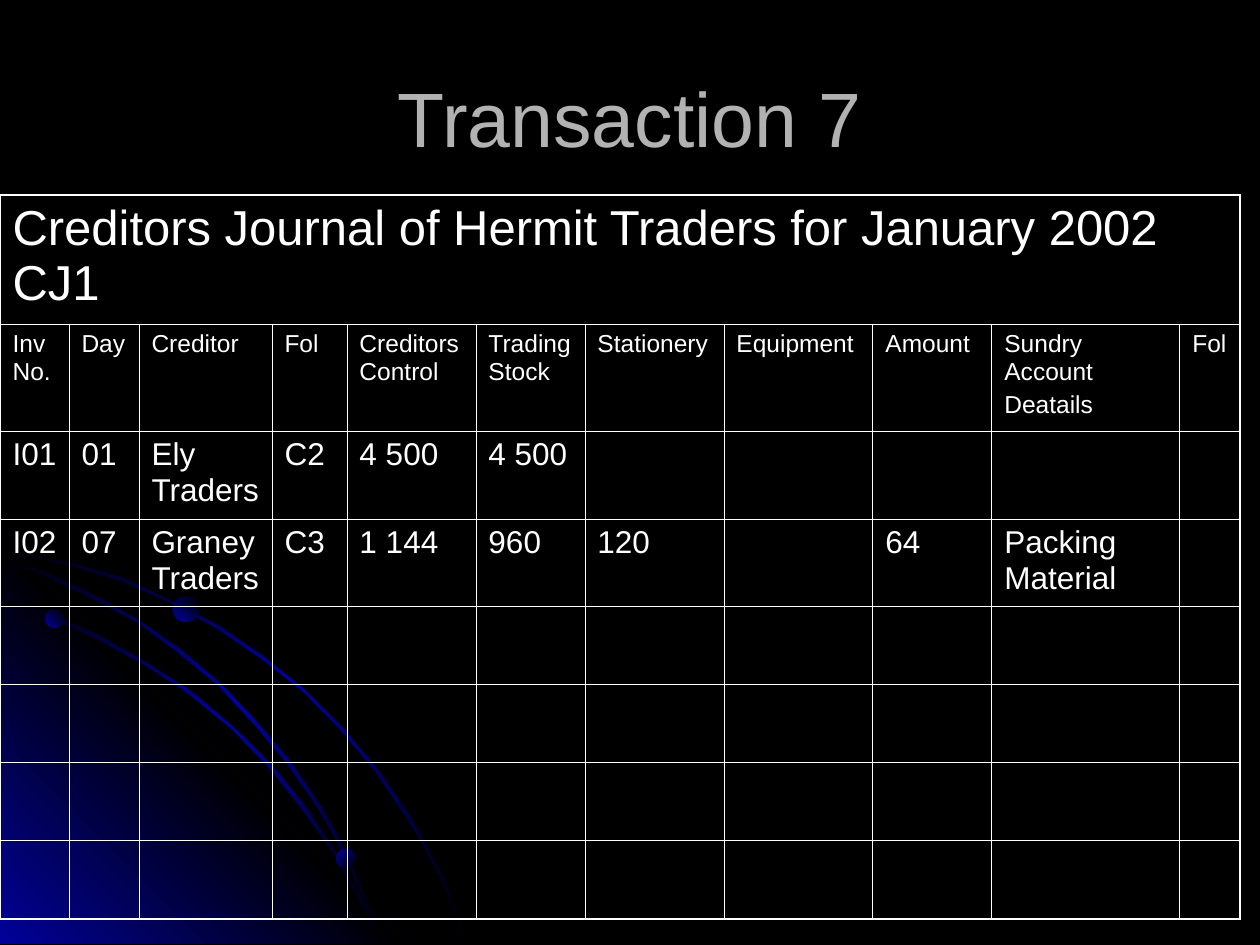
from pptx import Presentation
from pptx.dml.color import RGBColor
from pptx.enum.shapes import MSO_SHAPE
from pptx.enum.text import MSO_ANCHOR, PP_ALIGN
from pptx.oxml import parse_xml
from pptx.oxml.ns import nsdecls
from pptx.util import Emu, Pt

OVAL = MSO_SHAPE.OVAL
MIDDLE = MSO_ANCHOR.MIDDLE
CENTER = PP_ALIGN.CENTER

BLACK = RGBColor(0x00, 0x00, 0x00)
BLUE = RGBColor(0x01, 0x01, 0x99)
GRAY = RGBColor(0xB2, 0xB2, 0xB2)
WHITE = RGBColor(0xFF, 0xFF, 0xFF)
FONT = "Arial"
PX = 914400 / 126  # EMU per pixel
THIN, THICK = Pt(0.45), Pt(1.08)


def px(length):
    return Emu(round(length * PX))


def paint_gradient(shape, colors, angle):
    """Fill a shape with evenly spaced colours and no outline."""
    step = 100000 // (len(colors) - 1)
    stops = "".join(
        f'<a:gs pos="{i * step}"><a:srgbClr val="{color}"/></a:gs>'
        for i, color in enumerate(colors))
    gradient = parse_xml(
        f'<a:gradFill {nsdecls("a")} rotWithShape="1"><a:gsLst>{stops}</a:gsLst>'
        f'<a:lin ang="{angle * 60000}" scaled="0"/></a:gradFill>')
    shape.fill.background()
    no_fill = shape.fill._xPr.find(
        "{http://schemas.openxmlformats.org/drawingml/2006/main}noFill")
    shape.fill._xPr.replace(no_fill, gradient)
    shape.line.fill.background()
    shape.shadow.inherit = False


deck = Presentation()
deck.slide_width, deck.slide_height = px(1260), px(945)
page = deck.slides.add_slide(deck.slide_layouts[5])
page.background.fill.solid()
page.background.fill.fore_color.rgb = BLACK

# Corner glow and sweeping arcs: outline points, colours, gradient angle
ARC_COLORS = [BLACK, BLUE, BLACK]
outer_arc = [
    (72, 563), (35, 556), (0, 548), (0, 552), (35, 558), (71, 566), (122, 581),
    (170, 602), (218, 629), (262, 659), (304, 692), (341, 730), (375, 771),
    (407, 818), (425, 848), (441, 879), (454, 911), (466, 944), (469, 944),
    (456, 911), (444, 879), (427, 848), (410, 816), (378, 770), (343, 728),
    (305, 690), (263, 656), (219, 626), (171, 601), (123, 578)]
corner = [(406, 944), (0, 944), (0, 538)]
inner_arc = [
    (359, 900), (370, 922), (379, 944), (382, 944), (373, 920), (360, 897),
    (335, 852), (305, 806), (271, 764), (232, 726), (192, 692), (147, 663),
    (100, 636), (52, 615), (0, 599), (0, 601), (49, 617), (97, 639), (145, 665),
    (189, 694), (231, 728), (268, 766), (302, 809), (334, 853)]
middle_arc = [
    (0, 557), (0, 559), (45, 576), (93, 599), (137, 622), (179, 653), (218, 685),
    (255, 725), (286, 762), (318, 808), (336, 840), (353, 874), (368, 910),
    (379, 944), (382, 944), (370, 907), (355, 873), (339, 838), (320, 805),
    (289, 760), (257, 722), (221, 684), (181, 650), (140, 621), (96, 596),
    (49, 573)]
for points, colors, angle in [
        (outer_arc, ARC_COLORS, 225),
        (corner, [BLUE, BLACK, BLUE], 135),
        (inner_arc, ARC_COLORS, 225),
        (middle_arc, ARC_COLORS, 225)]:
    builder = page.shapes.build_freeform(*points[0], scale=PX)
    builder.add_line_segments(points[1:], close=True)
    paint_gradient(builder.convert_to_shape(), colors, angle)

# Beads on the arcs
for left, top, size, angle in [
        (45, 609, 19, 135), (336, 849, 20, 225), (173, 596, 26, 135)]:
    bead = page.shapes.add_shape(OVAL, px(left), px(top), px(size), px(size))
    paint_gradient(bead, [BLACK, BLUE], angle)

# Title
title = page.shapes.title
title.left, title.top, title.width, title.height = px(63), px(38), px(1134), px(157)
title.text_frame.text = "Transaction 7"
title.text_frame.vertical_anchor = MIDDLE
para = title.text_frame.paragraphs[0]
para.alignment = CENTER
para.font.name, para.font.size = FONT, Pt(44)
para.font.color.rgb = GRAY

# Creditors journal
widths = [69, 70, 133, 75, 129, 109, 139, 149, 119, 188, 60]
heights = [129, 107, 88, 88] + [78] * 4
sizes = [28, 14] + [18] * 6
entries = [
    ["Creditors Journal of Hermit Traders for January 2002 CJ1"],
    ["Inv No.", "Day", "Creditor", "Fol", "Creditors Control", "Trading Stock",
     "Stationery", "Equipment", "Amount", "Sundry Account\nDeatails", "Fol"],
    ["I01", "01", "Ely Traders", "C2", "4 500", "4 500"],
    ["I02", "07", "Graney Traders", "C3", "1 144", "960", "120", "", "64",
     "Packing Material"],
]
last_row, last_col = len(heights) - 1, len(widths) - 1
journal = page.shapes.add_table(
    len(heights), len(widths), 0, px(195), px(sum(widths)), px(sum(heights))).table
journal.first_row = journal.horz_banding = False
for column, width in zip(journal.columns, widths):
    column.width = px(width)
for row, height in zip(journal.rows, heights):
    row.height = px(height)
journal.cell(0, 0).merge(journal.cell(0, last_col))

for r in range(len(heights)):
    for c in range(len(widths)):
        cell = journal.cell(r, c)
        # Thick frame outside, thin rules inside
        edges = {"L": c == 0, "R": c == last_col or r == 0,
                 "T": r == 0, "B": r == last_row}
        for side, outside in edges.items():
            cell._tc.get_or_add_tcPr().append(parse_xml(
                f'<a:ln{side} {nsdecls("a")} w="{THICK if outside else THIN}">'
                f'<a:solidFill><a:srgbClr val="{WHITE}"/></a:solidFill></a:ln{side}>'))
        cell.fill.background()
        if r < len(entries) and c < len(entries[r]):
            cell.text = entries[r][c]
        for i, para in enumerate(cell.text_frame.paragraphs):
            para.font.name, para.font.size = FONT, Pt(sizes[r])
            para.font.color.rgb = WHITE
            if i:
                para.space_before = Pt(3.5)

deck.save("out.pptx")
